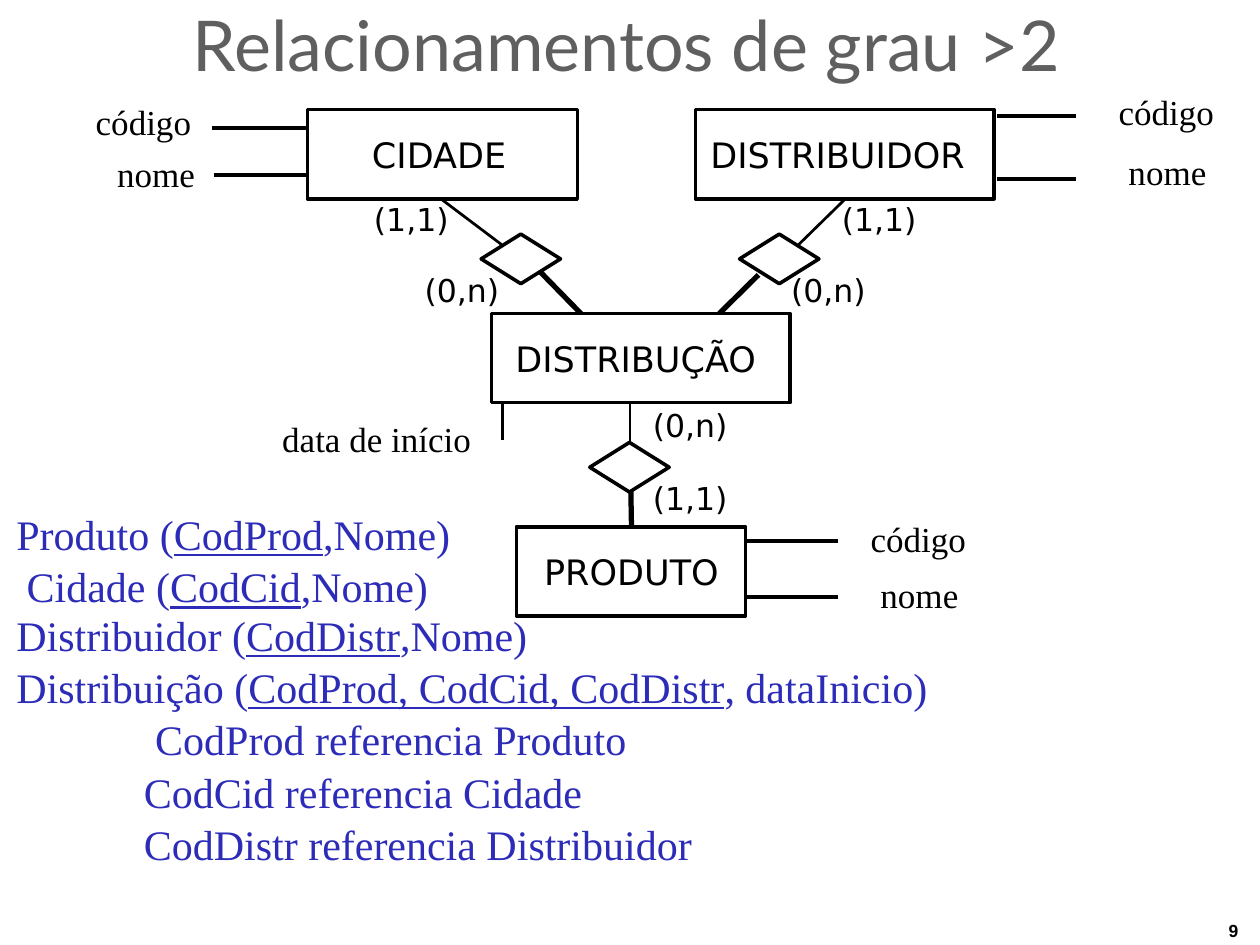
from lxml.etree import SubElement
from pptx import Presentation
from pptx.dml.color import RGBColor
from pptx.enum.shapes import MSO_CONNECTOR, MSO_SHAPE
from pptx.enum.text import MSO_ANCHOR, PP_ALIGN
from pptx.oxml.ns import qn
from pptx.util import Cm, Pt

BLACK, WHITE, GRAY, BLUE = "000000", "FFFFFF", "5F5F5F", "2C2CB8"
SANS, SERIF = "DejaVu Sans", "Times New Roman"


def color(value):
    return RGBColor.from_string(value)


def write(shape, lines, font, size, ink=BLACK, spacing=1.0, before=0, bold=False):
    """Fill a shape with (indent in cm, text) lines; _marks_ underline a stretch."""
    frame = shape.text_frame
    frame.word_wrap = True
    frame.margin_left = frame.margin_top = frame.margin_right = frame.margin_bottom = 0
    for index, (indent, text) in enumerate(lines):
        paragraph = frame.add_paragraph() if index else frame.paragraphs[0]
        paragraph.alignment = PP_ALIGN.LEFT
        paragraph.line_spacing = spacing
        if index and before:
            paragraph.space_before = Pt(before)
        paragraph._p.get_or_add_pPr().set("marL", str(Cm(indent)))
        for part, piece in enumerate(text.split("_")):
            span = paragraph.add_run()
            span.text = piece
            span.font.name = font
            span.font.size = Pt(size)
            span.font.bold = bold
            span.font.underline = part % 2 == 1
            span.font.color.rgb = color(ink)


deck = Presentation()
deck.slide_width, deck.slide_height = Cm(25.4), Cm(19.05)
page = deck.slides.add_slide(deck.slide_layouts[6])

# Lines: attributes, then thin and thick relationship branches
line_groups = {
    2.28: [
        (4.27, 2.59, 6.17, 2.59), (4.32, 3.53, 6.2, 3.53),
        (20.09, 2.34, 21.69, 2.34), (20.09, 3.61, 21.69, 3.61),
        (15.01, 10.9, 16.89, 10.9), (15.01, 12.04, 16.89, 12.04),
        (10.13, 8.13, 10.13, 8.86),
    ],
    1.56: [
        (12.7, 8.13, 12.7, 8.92), (8.89, 4.01, 10.11, 4.93),
        (17.04, 4.01, 16.1, 4.93),
    ],
    3: [
        (12.7, 8.92, 12.73, 10.62), (10.9, 5.49, 11.71, 6.32),
        (15.29, 5.54, 14.5, 6.32),
    ],
}
for weight, segments in line_groups.items():
    for segment in segments:
        line = page.shapes.add_connector(MSO_CONNECTOR.STRAIGHT, *map(Cm, segment))
        line.line.width = Pt(weight)
        line.line.color.rgb = color(BLACK)
        SubElement(line._element.spPr, qn("a:effectLst"))

# Entities and relationship diamonds: left, top, width, height, indent, name
nodes = [
    (MSO_SHAPE.RECTANGLE, 6.2, 2.21, 5.44, 1.8, 1.3, "CIDADE"),
    (MSO_SHAPE.RECTANGLE, 14.02, 2.21, 6.02, 1.8, 0.3, "DISTRIBUIDOR"),
    (MSO_SHAPE.RECTANGLE, 9.91, 6.32, 6.02, 1.8, 0.48, "DISTRIBUÇÃO"),
    (MSO_SHAPE.RECTANGLE, 10.41, 10.62, 4.62, 1.8, 0.56, "PRODUTO"),
    (MSO_SHAPE.DIAMOND, 9.7, 4.72, 1.6, 1, 0, ""),
    (MSO_SHAPE.DIAMOND, 14.91, 4.72, 1.6, 1, 0, ""),
    (MSO_SHAPE.DIAMOND, 11.89, 8.92, 1.6, 1, 0, ""),
]
for kind, left, top, width, height, indent, name in nodes:
    node = page.shapes.add_shape(kind, Cm(left), Cm(top), Cm(width), Cm(height))
    node.shadow.inherit = False
    node.fill.solid()
    node.fill.fore_color.rgb = color(WHITE)
    node.line.color.rgb = color(BLACK)
    node.line.width = Pt(2.04)
    if name:
        write(node, [(indent, name)], SANS, 20)
        node.text_frame.vertical_anchor = MSO_ANCHOR.MIDDLE

# Text: left, top, width, height, lines, format
title = dict(font="Lato", size=40, ink=GRAY)
attribute = dict(font=SERIF, size=20)
cardinality = dict(font=SANS, size=18, before=18.5)
schema = dict(font=SERIF, size=24, ink=BLUE, spacing=1.04)
number = dict(font="Arial", size=10, bold=True)
texts = [
    (3.89, 0.03, 18.3, 1.75, [(0, "Relacionamentos de grau >2")], title),
    (1.93, 2.03, 2.1, 1.9, [(0, "código"), (0.43, "nome")],
     dict(attribute, before=5.6)),
    (22.55, 1.47, 2.1, 2.4, [(0, "código"), (0.2, "nome")],
     dict(attribute, spacing=1.42)),
    (17.55, 10.13, 2.1, 2.3, [(0, "código"), (0.2, "nome")],
     dict(attribute, spacing=1.35)),
    (5.69, 8.41, 4.1, 0.9, [(0, "data de início")], attribute),
    (13.16, 8.18, 1.7, 0.8, [(0, "(0,n)")], cardinality),
    (13.16, 9.65, 1.7, 0.8, [(0, "(1,1)")], cardinality),
    (7.54, 4.04, 2.7, 2.2, [(0, "(1,1)"), (1.02, "(0,n)")], cardinality),
    (15.95, 4.04, 2.7, 2.2, [(1.02, "(1,1)"), (0, "(0,n)")], cardinality),
    (0.33, 10.21, 9, 2.1,
     [(0, "Produto (_CodProd_,Nome)"), (0.21, "Cidade (_CodCid_,Nome)")], schema),
    (0.33, 12.24, 19, 5.1,
     [(0, "Distribuidor (_CodDistr_,Nome)"),
      (0, "Distribuição (_CodProd, CodCid, CodDistr_, dataInicio)"),
      (2.8, "CodProd referencia Produto"),
      (2.57, "CodCid referencia Cidade"),
      (2.57, "CodDistr referencia Distribuidor")], schema),
    (24.77, 18.54, 0.45, 0.45, [(0, "9")], number),
]
for left, top, width, height, lines, style in texts:
    box = page.shapes.add_textbox(Cm(left), Cm(top), Cm(width), Cm(height))
    write(box, lines, **style)

deck.save("out.pptx")
